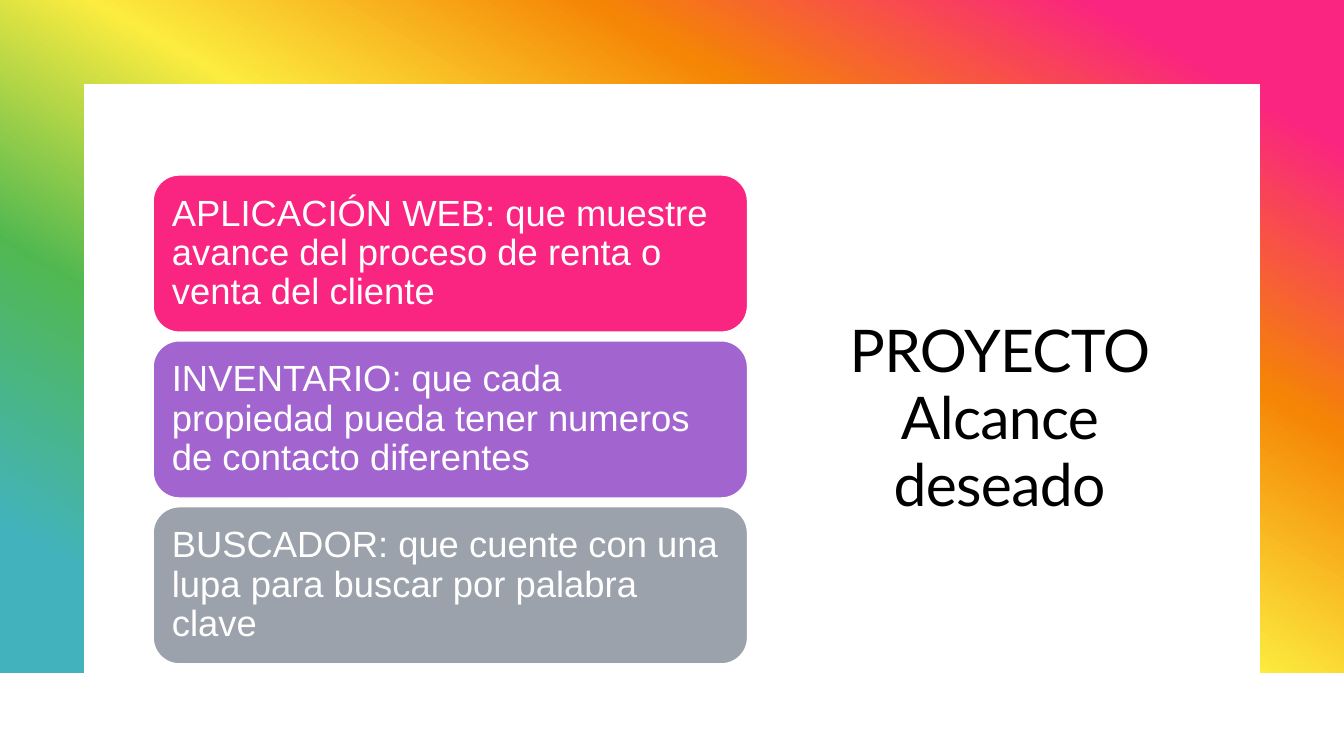
from lxml import etree
from pptx import Presentation
from pptx.dml.color import RGBColor
from pptx.enum.shapes import MSO_SHAPE
from pptx.enum.text import MSO_ANCHOR, MSO_AUTO_SIZE, PP_ALIGN
from pptx.oxml.ns import qn
from pptx.util import Cm, Pt

RECTANGLE = MSO_SHAPE.RECTANGLE
ROUNDED = MSO_SHAPE.ROUNDED_RECTANGLE
MIDDLE = MSO_ANCHOR.MIDDLE
LEFT, CENTER = PP_ALIGN.LEFT, PP_ALIGN.CENTER
NO_AUTOFIT = MSO_AUTO_SIZE.NONE

COLORS = {
    "white": "FFFFFF",
    "black": "000000",
    "pink": "FA2481",
    "orange": "F58505",
    "yellow": "FCEC3F",
    "green": "51B851",
    "teal": "42B3BD",
    "purple": "A264CE",
    "gray": "9CA2AB",
}
RAINBOW = [(10, "pink"), (30, "orange"), (50, "yellow"), (70, "green"), (90, "teal")]
CARDS = [
    ("pink", "APLICACIÓN WEB: que muestre avance del proceso de renta o venta del cliente"),
    ("purple", "INVENTARIO: que cada propiedad pueda tener numeros de contacto diferentes"),
    ("gray", "BUSCADOR: que cuente con una lupa para buscar por palabra clave"),
]
CARD_TOP, CARD_PITCH = 4.41, 4.18


def color(name):
    return RGBColor.from_string(COLORS[name])


def add_box(kind, left, top, width, height, fill):
    box = page.shapes.add_shape(kind, Cm(left), Cm(top), Cm(width), Cm(height))
    box.shadow.inherit = False
    box.line.fill.background()
    box.fill.solid()
    box.fill.fore_color.rgb = color(fill)
    return box


deck = Presentation()
deck.slide_width, deck.slide_height = Cm(33.87), Cm(19.05)
page = deck.slides.add_slide(deck.slide_layouts[5])
page.background.fill.solid()
page.background.fill.fore_color.rgb = color("white")

band = add_box(RECTANGLE, 0, 0, 33.87, 16.94, "yellow")
band.fill.gradient()
band.fill.gradient_angle = 240
stops = band.element.spPr.find(qn("a:gradFill")).find(qn("a:gsLst"))
for stop in list(stops):
    stops.remove(stop)
for percent, name in RAINBOW:
    stop = etree.SubElement(stops, qn("a:gs"), pos=str(percent * 1000))
    etree.SubElement(stop, qn("a:srgbClr"), val=COLORS[name])

panel = add_box(RECTANGLE, 2.12, 2.12, 29.63, 15.16, "white")

title = page.shapes.title
panel.element.addnext(title.element)
title.left, title.top, title.width, title.height = Cm(20.96), Cm(4.22), Cm(8.46), Cm(12.7)
frame = title.text_frame
frame.text = "PROYECTO Alcance deseado"
frame.word_wrap = True
frame.auto_size = NO_AUTOFIT
frame.vertical_anchor = MIDDLE
para = frame.paragraphs[0]
para.alignment = CENTER
para.line_spacing = 0.95
span = para.runs[0]
span.font.name = "Lato"
span.font.size = Pt(42)
span.font.color.rgb = color("black")
span.font._element.set("spc", "-50")

for index, (fill, text) in enumerate(CARDS):
    card = add_box(ROUNDED, 3.86, CARD_TOP + index * CARD_PITCH, 14.98, 3.96, fill)
    card.line.color.rgb = color("white")
    card.line.width = Pt(1)
    frame = card.text_frame
    frame.text = text
    frame.word_wrap = True
    frame.vertical_anchor = MIDDLE
    frame.margin_left = frame.margin_right = Cm(0.28)
    frame.margin_top = frame.margin_bottom = Cm(0.28)
    para = frame.paragraphs[0]
    para.alignment = LEFT
    para.line_spacing = 0.9
    span = para.runs[0]
    span.font.name = "Arial"
    span.font.size = Pt(26)
    span.font.color.rgb = color("white")

deck.save("out.pptx")
